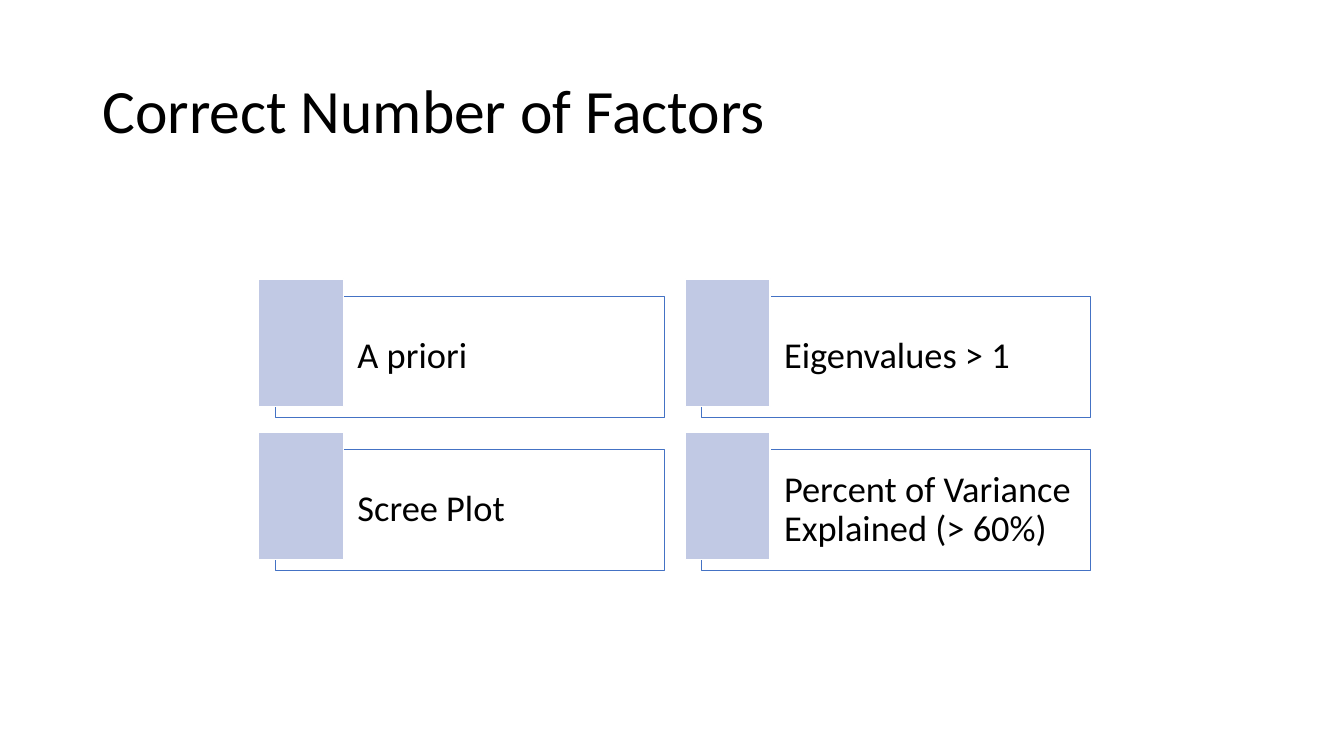
"""Build the slide on choosing the correct number of factors."""
from dataclasses import dataclass

import lxml.etree
import pptx
import pptx.dml.color
import pptx.enum.shapes
import pptx.enum.text
import pptx.oxml.ns
import pptx.shapes.autoshape
import pptx.slide
import pptx.util

Cm = pptx.util.Cm
RGBColor = pptx.dml.color.RGBColor

BLACK = RGBColor(0x00, 0x00, 0x00)
WHITE = RGBColor(0xFF, 0xFF, 0xFF)
BLUE = RGBColor(0x44, 0x72, 0xC4)
LAVENDER = RGBColor(0xC1, 0xC9, 0xE4)

PANEL_LEFT, PANEL_TOP = 6.93, 7.46
COLUMN_PITCH, ROW_PITCH = 10.75, 3.86
TAB_OFFSET_X, TAB_OFFSET_Y = 0.41, 0.43
COLUMNS = 2

TITLE = "Correct Number of Factors"
CRITERIA = [
    "A priori",
    "Eigenvalues > 1",
    "Scree Plot",
    "Percent of Variance Explained (> 60%)",
]


@dataclass(frozen=True)
class RectangleStyle:
    width: float
    height: float
    fill: RGBColor
    line: RGBColor
    line_points: float
    opacity: int = 100


PANEL = RectangleStyle(9.81, 3.06, WHITE, BLUE, 0.5, opacity=40)
TAB = RectangleStyle(2.14, 3.21, LAVENDER, WHITE, 1)

FRAME_FORMAT = {
    "word_wrap": True,
    "vertical_anchor": pptx.enum.text.MSO_ANCHOR.MIDDLE,
}
PANEL_MARGINS = {
    "margin_left": Cm(2.08),
    "margin_right": Cm(0.28),
    "margin_top": Cm(0.28),
    "margin_bottom": Cm(0.28),
}
PARAGRAPH_FORMAT = {
    "alignment": pptx.enum.text.PP_ALIGN.LEFT,
    "line_spacing": 0.9,
}


def set_attributes(target: object, values: dict[str, object]) -> None:
    """Set every named attribute on the target."""
    for name, value in values.items():
        setattr(target, name, value)


def write_text(frame: pptx.text.text.TextFrame, text: str, points: int,
               margins: dict[str, object]) -> None:
    """Write one formatted paragraph into a text frame."""
    set_attributes(frame, FRAME_FORMAT | margins)
    paragraph = frame.paragraphs[0]
    set_attributes(paragraph, PARAGRAPH_FORMAT)
    run = paragraph.add_run()
    run.text = text
    set_attributes(run.font, {"name": "Calibri", "size": pptx.util.Pt(points)})
    run.font.color.rgb = BLACK


def add_rectangle(slide: pptx.slide.Slide, left: float, top: float,
                  style: RectangleStyle) -> pptx.shapes.autoshape.Shape:
    """Add a styled rectangle at a position in centimetres."""
    shape = slide.shapes.add_shape(
        pptx.enum.shapes.MSO_SHAPE.RECTANGLE,
        Cm(left), Cm(top), Cm(style.width), Cm(style.height))
    shape.shadow.inherit = False
    shape.fill.solid()
    shape.fill.fore_color.rgb = style.fill
    shape.line.color.rgb = style.line
    shape.line.width = pptx.util.Pt(style.line_points)
    if style.opacity < 100:
        qualified_name = pptx.oxml.ns.qn
        color = shape.fill._xPr.find(
            f"{qualified_name('a:solidFill')}/{qualified_name('a:srgbClr')}")
        alpha = lxml.etree.SubElement(color, qualified_name("a:alpha"))
        alpha.set("val", str(style.opacity * 1000))
    return shape


def add_criterion(slide: pptx.slide.Slide, index: int, text: str) -> None:
    """Add one labelled panel with its overlapping tab."""
    row, column = divmod(index, COLUMNS)
    left = PANEL_LEFT + column * COLUMN_PITCH
    top = PANEL_TOP + row * ROW_PITCH
    panel = add_rectangle(slide, left, top, PANEL)
    write_text(panel.text_frame, text, 26, PANEL_MARGINS)
    add_rectangle(slide, left - TAB_OFFSET_X, top - TAB_OFFSET_Y, TAB)


def main() -> None:
    """Create the presentation and save it."""
    presentation = pptx.Presentation()
    set_attributes(presentation, {"slide_width": Cm(33.87), "slide_height": Cm(19.05)})
    slide = presentation.slides.add_slide(presentation.slide_layouts[6])
    title = slide.shapes.add_textbox(Cm(2.33), Cm(1.01), Cm(29.21), Cm(3.68))
    write_text(title.text_frame, TITLE, 44, {})
    for index, text in enumerate(CRITERIA):
        add_criterion(slide, index, text)
    presentation.save("out.pptx")


if __name__ == "__main__":
    main()
